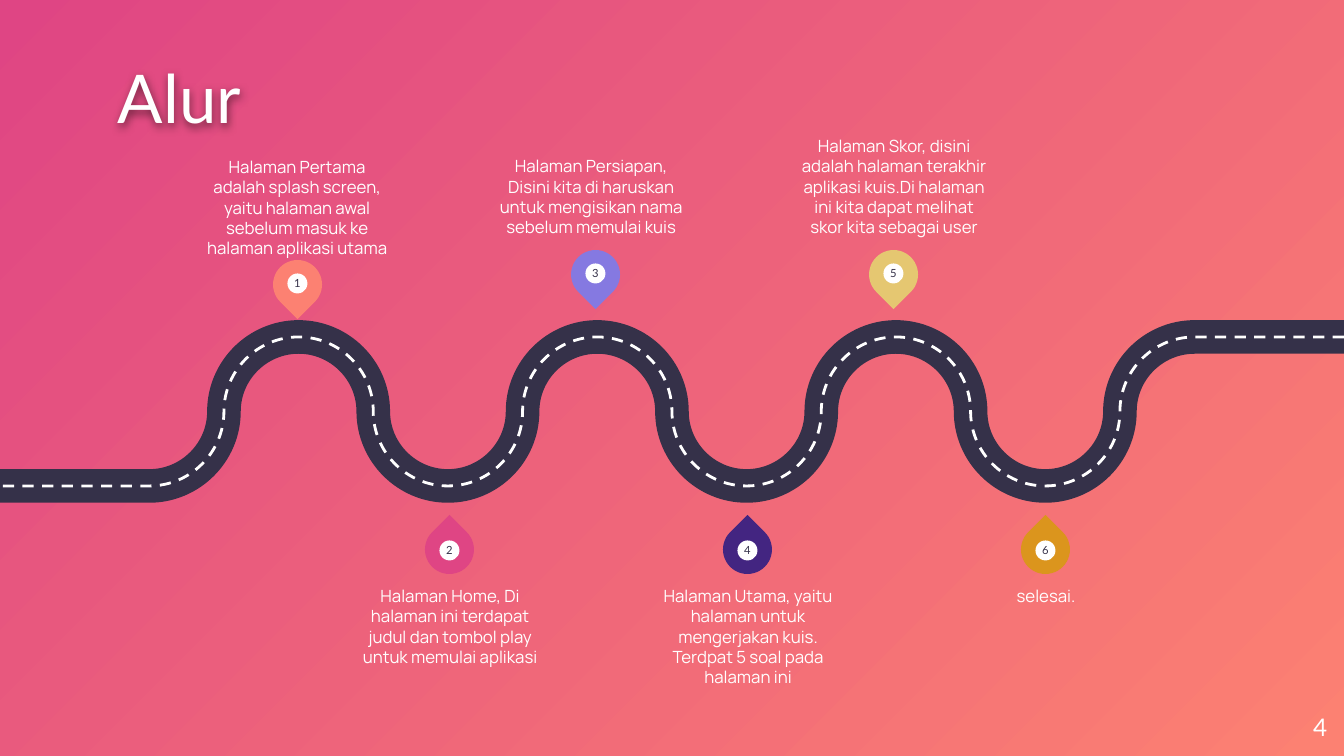
from itertools import pairwise

from pptx import Presentation
from pptx import util as u
from pptx.dml.color import RGBColor
from pptx.enum import dml, shapes, text
from pptx.oxml import parse_xml
from pptx.oxml.ns import nsdecls, qn

WHITE = RGBColor(0xFF, 0xFF, 0xFF)
ASPHALT = RGBColor(0x35, 0x31, 0x49)
PINK = RGBColor(0xDF, 0x45, 0x84)
CORAL = RGBColor(0xFC, 0x81, 0x72)
LILAC = RGBColor(0x85, 0x79, 0xE1)
INDIGO = RGBColor(0x43, 0x25, 0x81)
SAND = RGBColor(0xE5, 0xC7, 0x71)
OCHRE = RGBColor(0xDB, 0x95, 0x1D)

TITLE = "Alur"
PAGE_NUMBER = "4"
STEPS = [
    dict(colour=CORAL, pin_top=260, text_left=202, text_top=180,
         words="Halaman Pertama adalah splash screen, yaitu halaman awal "
               "sebelum masuk ke halaman aplikasi utama"),
    dict(colour=PINK, pin_top=525, text_left=355, text_top=586,
         words="Halaman Home, Di halaman ini terdapat judul dan tombol play "
               "untuk memulai aplikasi"),
    dict(colour=LILAC, pin_top=250, text_left=496, text_top=159,
         words="Halaman Persiapan, Disini kita di haruskan untuk mengisikan "
               "nama sebelum memulai kuis"),
    dict(colour=INDIGO, pin_top=525, text_left=653, text_top=586,
         words="Halaman Utama, yaitu halaman untuk mengerjakan kuis. "
               "Terdpat 5 soal pada halaman ini"),
    dict(colour=SAND, pin_top=250, text_left=799, text_top=159,
         words="Halaman Skor, disini adalah halaman terakhir aplikasi kuis."
               "Di halaman ini kita dapat melihat skor kita sebagai user"),
    dict(colour=OCHRE, pin_top=525, text_left=951, text_top=586,
         words="selesai."),
]

WIDTH, HEIGHT = 1344, 756
BEND = WIDTH / 9
ROAD_TOP, ROAD_BOTTOM = 337, 486
ROAD_MIDDLE = (ROAD_TOP + ROAD_BOTTOM) / 2
ROUNDNESS = 0.55
PIN, DOT = 49, 20
PIN_STEP = 298
TEXT_WIDTH, TEXT_HEIGHT = 190, 78


def px(value):
    return u.Emu(round(value * 914400 / 134.4))


def write(box, words, size, font, colour, align, anchor):
    frame = box.text_frame
    frame.word_wrap = True
    frame.margin_left = frame.margin_right = frame.margin_top = frame.margin_bottom = 0
    frame.vertical_anchor = anchor
    para = frame.paragraphs[0]
    para.alignment = align
    span = para.add_run()
    span.text = words
    span.font.size = u.Pt(size)
    span.font.name = font
    span.font.color.rgb = colour
    return para


def add_text(page, area, *style):
    box = page.shapes.add_textbox(*map(px, area))
    return box, write(box, *style)


def road_points():
    points = [(WIDTH, ROAD_TOP)]
    for bend in range(8, 0, -1):
        points.append((bend * BEND, ROAD_BOTTOM if bend % 2 else ROAD_TOP))
        if bend > 1:
            points.append(((bend - 0.5) * BEND, ROAD_MIDDLE))
    return points + [(0, ROAD_BOTTOM)]


def quarter_bend(start, end):
    (x0, y0), (x1, y1) = start, end
    across, down = ROUNDNESS * (x1 - x0), ROUNDNESS * (y1 - y0)
    if y0 == ROAD_MIDDLE:
        return (x0, y0 + down), (x1 - across, y1), end
    return (x0 + across, y0), (x1, y1 - down), end


def round_bends(road, points):
    lines = list(road._element.iter(qn("a:lnTo")))
    for line, (start, end) in zip(lines, pairwise(points)):
        if start[1] == end[1]:
            continue
        stops = "".join(f'<a:pt x="{px(x)}" y="{px(y - ROAD_TOP)}"/>'
                        for x, y in quarter_bend(start, end))
        curve = parse_xml(f'<a:cubicBezTo {nsdecls("a")}>{stops}</a:cubicBezTo>')
        line.getparent().replace(line, curve)


def add_road(page, colour, width, dash=None):
    points = road_points()
    corners = [(px(x), px(y)) for x, y in points]
    builder = page.shapes.build_freeform(*corners[0])
    builder.add_line_segments(corners[1:], close=False)
    road = builder.convert_to_shape()
    round_bends(road, points)
    road.shadow.inherit = False
    road.fill.background()
    road.line.color.rgb = colour
    road.line.width = u.Pt(width)
    if dash:
        road.line.dash_style = dash


def add_disc(group, kind, left, top, size, colour):
    disc = group.shapes.add_shape(kind, px(left), px(top), px(size), px(size))
    disc.shadow.inherit = False
    disc.fill.solid()
    disc.fill.fore_color.rgb = colour
    disc.line.fill.background()
    return disc


def add_pin(page, index, colour, top):
    above = index % 2 == 0
    left = (273 if above else 425) + index // 2 * PIN_STEP
    inset = (PIN - DOT) / 2
    group = page.shapes.add_group_shape()
    drop = add_disc(group, shapes.MSO_SHAPE.TEAR, left, top, PIN, colour)
    drop.rotation = 135 if above else 315
    dot = add_disc(group, shapes.MSO_SHAPE.OVAL, left + inset,
                   top + inset + (-1 if above else 1), DOT, WHITE)
    write(dot, str(index + 1), 6, "Lato", ASPHALT,
          text.PP_ALIGN.CENTER, text.MSO_ANCHOR.MIDDLE)


def add_shadow(box):
    box._element.spPr.append(parse_xml(
        f'<a:effectLst {nsdecls("a")}><a:outerShdw blurRad="57150" dist="19050" '
        'dir="5400000" algn="bl" rotWithShape="0"><a:srgbClr val="000000">'
        '<a:alpha val="50000"/></a:srgbClr></a:outerShdw></a:effectLst>'))


def main():
    deck = Presentation()
    deck.slide_width, deck.slide_height = px(WIDTH), px(HEIGHT)
    page = deck.slides.add_slide(deck.slide_layouts[6])
    backdrop = page.background.fill
    backdrop.gradient()
    backdrop.gradient_angle = 315
    for stop, colour in zip(backdrop.gradient_stops, (PINK, CORAL)):
        stop.color.rgb = colour

    title, para = add_text(page, (118, 55, 1161, 83), TITLE, 36, "Lato", WHITE,
                           text.PP_ALIGN.LEFT, text.MSO_ANCHOR.BOTTOM)
    para.line_spacing = 0.9
    add_shadow(title)
    add_text(page, (1246, 698, 81, 58), PAGE_NUMBER, 13, "Lato", WHITE,
             text.PP_ALIGN.RIGHT, text.MSO_ANCHOR.MIDDLE)

    add_road(page, ASPHALT, 18)
    add_road(page, WHITE, 1.5, dml.MSO_LINE.DASH)
    for index, step in enumerate(STEPS):
        add_pin(page, index, step["colour"], step["pin_top"])
        anchor = text.MSO_ANCHOR.TOP if index % 2 else text.MSO_ANCHOR.BOTTOM
        add_text(page, (step["text_left"], step["text_top"], TEXT_WIDTH, TEXT_HEIGHT),
                 step["words"], 9, "Manrope", WHITE, text.PP_ALIGN.CENTER, anchor)
    deck.save("out.pptx")


if __name__ == "__main__":
    main()
